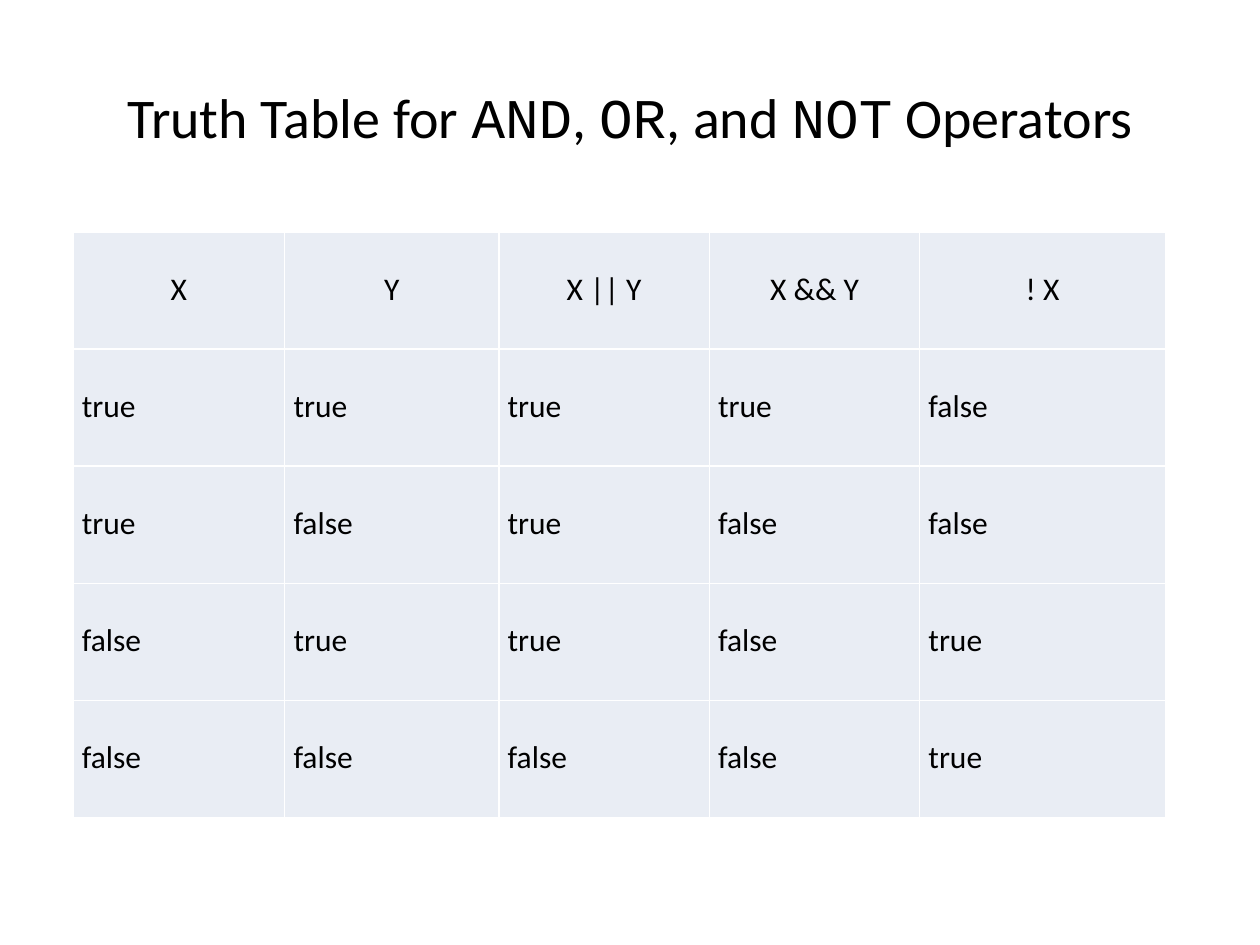
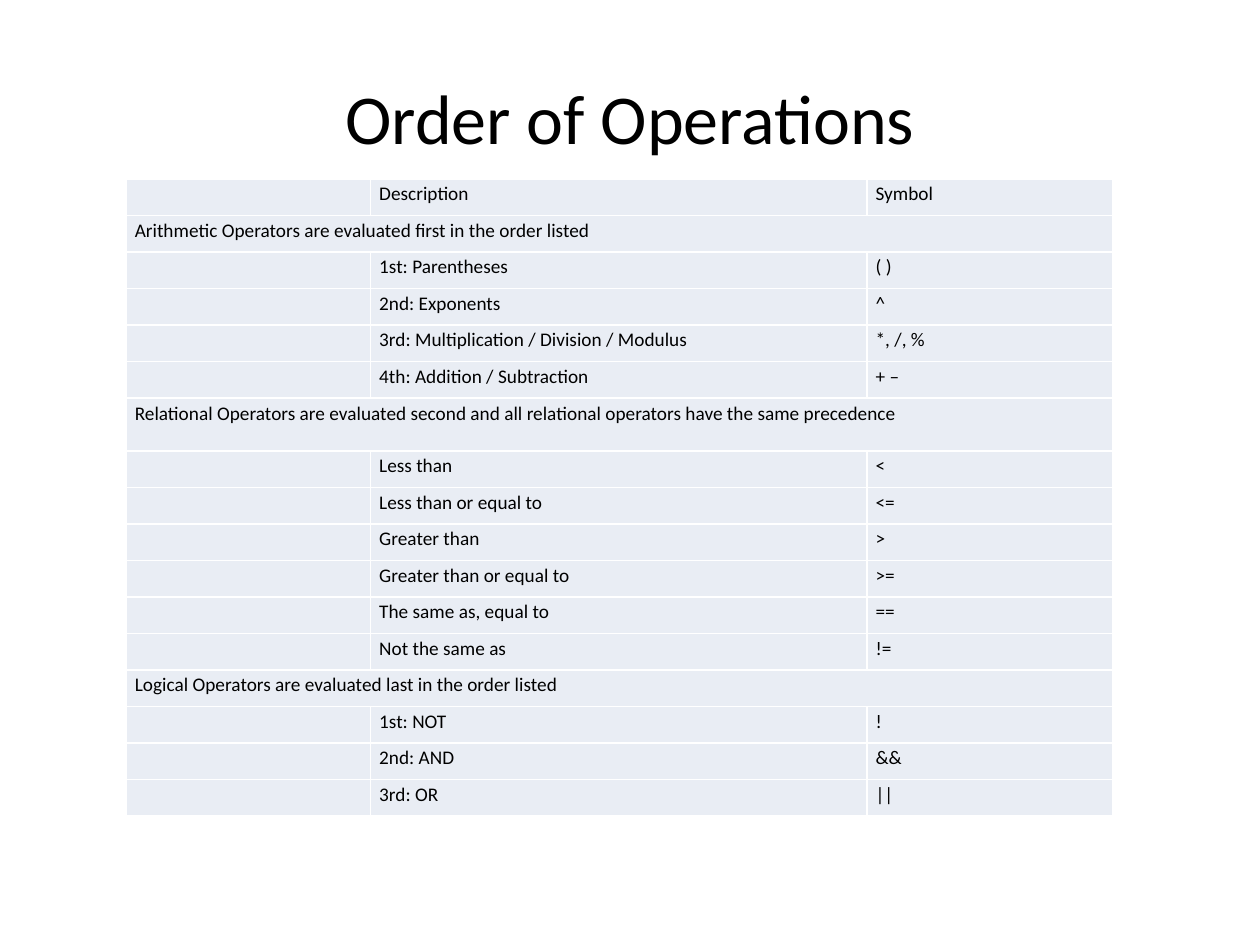
from lxml.etree import SubElement
from pptx import Presentation
from pptx.dml.color import RGBColor
from pptx.enum.text import MSO_ANCHOR, MSO_AUTO_SIZE, PP_ALIGN
from pptx.oxml.ns import qn
from pptx.util import Inches, Pt

HUES = {"text": "000000", "cell": "E9EDF4", "rule": "FFFFFF"}
SANS, MONO = "Calibri", "Courier New"
HEAD = (0.5, 0.3, 9, 1.25)

TRUTH = [
    ["X", "Y", "X || Y", "X && Y", "! X"],
    ["true", "true", "true", "true", "false"],
    ["true", "false", "true", "false", "false"],
    ["false", "true", "true", "false", "true"],
    ["false", "false", "false", "false", "true"],
]
ORDER = [
    ["", "Description", "Symbol"],
    ["Arithmetic Operators are evaluated first in the order listed"],
    ["", "1st: Parentheses", "( )"],
    ["", "2nd: Exponents", "^"],
    ["", "3rd: Multiplication / Division / Modulus", "*, /, %"],
    ["", "4th: Addition / Subtraction", "+ –"],
    ["Relational Operators are evaluated second and all relational "
     "operators have the same precedence"],
    ["", "Less than", "<"],
    ["", "Less than or equal to", "<="],
    ["", "Greater than", ">"],
    ["", "Greater than or equal to", ">="],
    ["", "The same as, equal to", "=="],
    ["", "Not the same as", "!="],
    ["Logical Operators are evaluated last in the order listed"],
    ["", "1st: NOT", "!"],
    ["", "2nd: AND", "&&"],
    ["", "3rd: OR", "||"],
]


def add_run(para, text, size, face=SANS):
    """Add one styled run to a paragraph."""
    run = para.add_run()
    run.text = text
    run.font.size = Pt(size)
    run.font.name = face
    run.font.color.rgb = RGBColor.from_string(HUES["text"])


def add_title(slide, box, parts, size):
    """Place the title in its box and fill it from (text, face) parts."""
    title = slide.shapes.title
    title.left, title.top, title.width, title.height = map(Inches, box)
    frame = title.text_frame
    frame.auto_size = MSO_AUTO_SIZE.NONE
    frame.vertical_anchor = MSO_ANCHOR.MIDDLE
    para = frame.paragraphs[0]
    para.alignment = PP_ALIGN.CENTER
    for text, face in parts:
        add_run(para, text, size, face)


def add_rules(cell):
    """Draw thin rules on the four sides of a cell."""
    props = cell._tc.get_or_add_tcPr()
    for spot, side in enumerate(("a:lnL", "a:lnR", "a:lnT", "a:lnB")):
        line = SubElement(props, qn(side), w=str(Pt(1)))
        fill = SubElement(line, qn("a:solidFill"))
        SubElement(fill, qn("a:srgbClr"), val=HUES["rule"])
        props.insert(spot, line)


def set_cell(cell, text, size, align, lead, before, after):
    """Fill one cell and set its text, spacing and rules."""
    cell.fill.solid()
    cell.fill.fore_color.rgb = RGBColor.from_string(HUES["cell"])
    cell.margin_left = cell.margin_right = Inches(0.07)
    cell.margin_top = cell.margin_bottom = 0
    cell.vertical_anchor = MSO_ANCHOR.TOP
    add_rules(cell)
    para = cell.text_frame.paragraphs[0]
    if not text:
        SubElement(para._p, qn("a:endParaRPr"), sz=str(size * 100))
        return
    para.alignment = align
    para.line_spacing = lead
    para.space_before, para.space_after = Pt(before), Pt(after)
    add_run(para, text, size)


def add_grid(slide, box, data, cols, rows, size, aligns, lead, before, after):
    """Place a table in its box; a row with one entry spans every column."""
    shape = slide.shapes.add_table(len(rows), len(cols), *map(Inches, box))
    table = shape.table
    table.first_row = table.horz_banding = False
    for col, width in zip(table.columns, cols):
        col.width = Inches(width)
    for i, (row, high) in enumerate(zip(data, rows)):
        table.rows[i].height = Inches(high)
        if len(row) == 1:
            table.cell(i, 0).merge(table.cell(i, len(cols) - 1))
        align = aligns[min(i, 1)]
        for j in range(len(cols)):
            text = row[j] if j < len(row) else ""
            set_cell(table.cell(i, j), text, size, align, lead, before, after)


def add_truth(deck):
    """Build the truth table slide."""
    slide = deck.slides.add_slide(deck.slide_layouts[5])
    parts = [("Truth Table for ", SANS), ("AND", MONO), (", ", SANS),
             ("OR", MONO), (", and ", SANS), ("NOT", MONO),
             (" Operators", SANS)]
    add_title(slide, HEAD, parts, 32)
    cols = [1.68, 1.7, 1.67, 1.67, 1.95]
    add_grid(slide, (0.58, 1.84, 8.67, 4.65), TRUTH, cols,
             [0.93] * len(TRUTH), 18,
             (PP_ALIGN.CENTER, PP_ALIGN.JUSTIFY), 2.0, 12, 0)


def add_order(deck):
    """Build the order of operations slide."""
    slide = deck.slides.add_slide(deck.slide_layouts[5])
    add_title(slide, HEAD, [("Order of Operations", SANS)], 40)
    rows = [0.42 if len(row[0]) > 70 else 0.29 for row in ORDER]
    add_grid(slide, (1, 1.42, 7.83, 5.06), ORDER, [1.94, 3.94, 1.95],
             rows, 11, (PP_ALIGN.LEFT, PP_ALIGN.LEFT), 1.15, 4, 12)


def main():
    """Build and save the deck."""
    deck = Presentation()
    deck.slide_width, deck.slide_height = Inches(10), Inches(7.5)
    add_truth(deck)
    add_order(deck)
    deck.save("out.pptx")


main()
